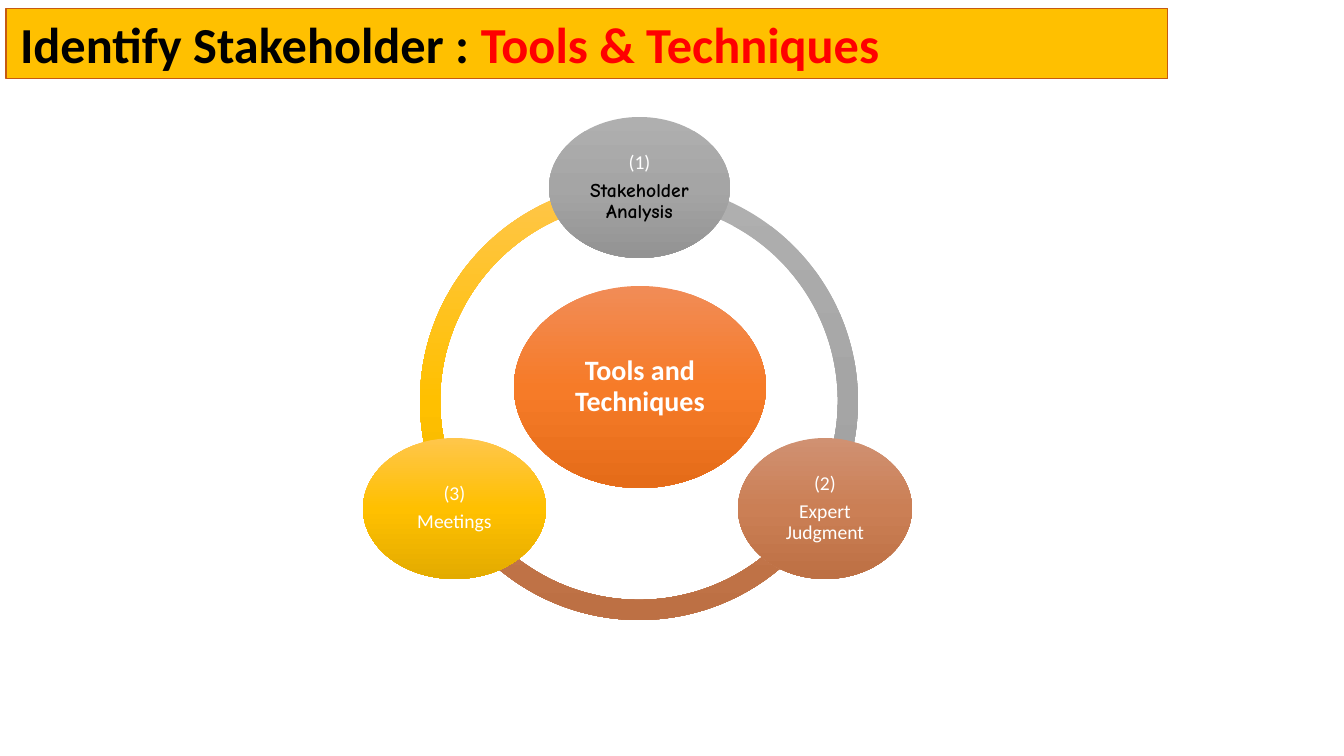
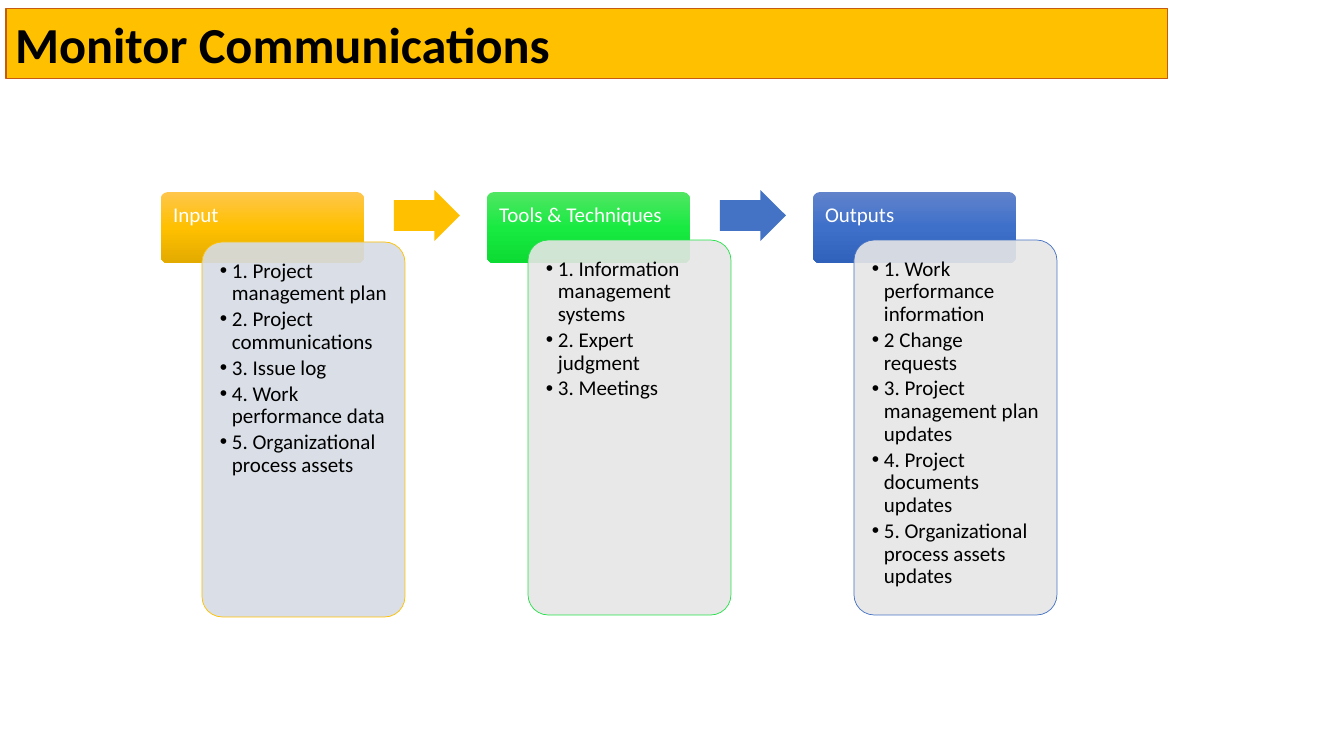
from copy import deepcopy
from dataclasses import dataclass

from lxml import etree
from pptx import Presentation
from pptx import util as u
from pptx.dml.color import RGBColor
from pptx.enum import shapes, text
from pptx.oxml.ns import qn
from pptx.shapes.autoshape import Shape
from pptx.slide import Slide
from pptx.text.text import TextFrame

EMU_PER_PX = 914400 / 100.8
SLIDE_WIDTH, SLIDE_HEIGHT = 1344, 756
TITLE_ONLY, COMPARISON = 5, 4

BLACK = RGBColor(0x00, 0x00, 0x00)
WHITE = RGBColor(0xFF, 0xFF, 0xFF)
RED = RGBColor(0xFF, 0x00, 0x00)
GOLD = RGBColor(0xFF, 0xC0, 0x00)
RUST = RGBColor(0xC5, 0x5A, 0x11)
GREEN = RGBColor(0x23, 0xE1, 0x48)
BLUE = RGBColor(0x44, 0x72, 0xC4)
PALE_BLUE = RGBColor(0xD6, 0xDC, 0xE5)
PALE_GRAY = RGBColor(0xE7, 0xE6, 0xE6)

Gradient = tuple[RGBColor, RGBColor, RGBColor]
GOLD_SHADES: Gradient = (RGBColor(0xFF, 0xC6, 0x4B), GOLD, RGBColor(0xE3, 0xAB, 0x00))
GRAY_SHADES: Gradient = (RGBColor(0xAF, 0xAF, 0xAF), RGBColor(0xA5, 0xA5, 0xA5), RGBColor(0x93, 0x93, 0x93))
BROWN_SHADES: Gradient = (RGBColor(0xD0, 0x91, 0x72), RGBColor(0xCB, 0x7F, 0x55), RGBColor(0xBD, 0x70, 0x44))
ORANGE_SHADES: Gradient = (RGBColor(0xF1, 0x8C, 0x57), RGBColor(0xF6, 0x7B, 0x28), RGBColor(0xE5, 0x6C, 0x19))
GREEN_SHADES: Gradient = (RGBColor(0x51, 0xE6, 0x63), RGBColor(0x19, 0xEA, 0x42), RGBColor(0x0C, 0xDB, 0x34))
BLUE_SHADES: Gradient = (RGBColor(0x61, 0x83, 0xCB), RGBColor(0x3E, 0x70, 0xCA), RGBColor(0x30, 0x62, 0xBB))


@dataclass(frozen=True)
class Box:
    left: int
    top: int
    width: int
    height: int


@dataclass(frozen=True)
class Style:
    size: int
    color: RGBColor = WHITE
    bold: bool = False
    name: str = "Calibri"


@dataclass(frozen=True)
class Line:
    words: str
    style: Style


@dataclass(frozen=True)
class Node:
    box: Box
    shades: Gradient
    lines: tuple[Line, ...]


@dataclass(frozen=True)
class Stage:
    heading: str
    shades: Gradient
    accent: RGBColor
    panel_fill: RGBColor
    panel_top: int
    items: tuple[str, ...]


TITLE_BOX = Box(6, 8, 1162, 71)
RING_BOX = Box(420, 182, 438, 438)
RING_THICKNESS = 0.046
RING_ARCS = ((150, 270, GOLD_SHADES), (30, 150, BROWN_SHADES), (270, 30, GRAY_SHADES))

NODE_STYLE = Style(14)
HEADING_STYLE = Style(15)
ITEM_STYLE = Style(15, BLACK)
NODES = (
    Node(Box(514, 286, 252, 202), ORANGE_SHADES,
         (Line("Tools and Techniques", Style(20, bold=True)),)),
    Node(Box(549, 117, 181, 141), GRAY_SHADES,
         (Line("(1)", NODE_STYLE),
          Line("Stakeholder Analysis", Style(14, BLACK, True, "Comic Neue")))),
    Node(Box(738, 438, 174, 141), BROWN_SHADES,
         (Line("(2)", NODE_STYLE), Line("Expert Judgment", NODE_STYLE))),
    Node(Box(363, 438, 183, 141), GOLD_SHADES,
         (Line("(3)", NODE_STYLE), Line("Meetings", NODE_STYLE))),
)

STAGE_LEFT, STAGE_PITCH, STAGE_WIDTH = 161, 326, 203
STAGES = (
    Stage("Input", GOLD_SHADES, GOLD, PALE_BLUE, 242,
          ("1. Project management plan", "2. Project communications", "3. Issue log",
           "4. Work performance data", "5. Organizational process assets")),
    Stage("Tools & Techniques", GREEN_SHADES, GREEN, PALE_GRAY, 240,
          ("1. Information management systems", "2. Expert judgment", "3. Meetings")),
    Stage("Outputs", BLUE_SHADES, BLUE, PALE_GRAY, 240,
          ("1. Work performance information", "2 Change requests",
           "3. Project management plan updates", "4. Project documents updates",
           "5. Organizational process assets updates")),
)
ARROW_COLORS = (GOLD, BLUE)


def px(length: int) -> u.Emu:
    return u.Emu(round(length * EMU_PER_PX))


def place(shape: Shape, box: Box) -> None:
    shape.left, shape.top = px(box.left), px(box.top)
    shape.width, shape.height = px(box.width), px(box.height)


def add_shape(slide: Slide, kind: shapes.MSO_SHAPE, box: Box,
              adjustments: tuple[float, ...] = ()) -> Shape:
    shape = slide.shapes.add_shape(
        kind, px(box.left), px(box.top), px(box.width), px(box.height))
    shape.shadow.inherit = False
    shape.line.fill.background()
    for index, value in enumerate(adjustments):
        shape.adjustments[index] = value
    return shape


def fill_solid(shape: Shape, color: RGBColor) -> None:
    shape.fill.solid()
    shape.fill.fore_color.rgb = color


def outline(shape: Shape, color: RGBColor, width: float) -> None:
    shape.line.color.rgb = color
    shape.line.width = u.Pt(width)


def fill_gradient(shape: Shape, shades: Gradient) -> None:
    shape.fill.gradient()
    shape.fill.gradient_angle = 270
    stop_list = shape.element.spPr.find(f".//{qn('a:gsLst')}")
    stop_list.append(deepcopy(stop_list[-1]))
    for stop, shade, position in zip(shape.fill.gradient_stops, shades, (0, 0.5, 1)):
        stop.color.rgb = shade
        stop.position = position


def set_opacity(shape: Shape, percent: int) -> None:
    color = shape.element.spPr.find(f"{qn('a:solidFill')}/{qn('a:srgbClr')}")
    etree.SubElement(color, qn("a:alpha"), val=str(percent * 1000))


def prepare_frame(frame: TextFrame, anchor: text.MSO_ANCHOR,
                  side: int, top: int, bottom: int) -> None:
    frame.word_wrap = True
    frame.auto_size = text.MSO_AUTO_SIZE.NONE
    frame.vertical_anchor = anchor
    frame.margin_left = frame.margin_right = px(side)
    frame.margin_top, frame.margin_bottom = px(top), px(bottom)


def write_lines(frame: TextFrame, lines: tuple[Line, ...], alignment: text.PP_ALIGN,
                gap: float, bulleted: bool = False) -> None:
    for index, line in enumerate(lines):
        paragraph = frame.add_paragraph() if index else frame.paragraphs[0]
        paragraph.text = line.words
        if bulleted:
            properties = paragraph._p.get_or_add_pPr()
            properties.set("marL", str(px(12)))
            properties.set("indent", str(px(-12)))
            etree.SubElement(properties, qn("a:buFont"), typeface="Arial")
            etree.SubElement(properties, qn("a:buChar"), char="•")
        paragraph.alignment = alignment
        paragraph.line_spacing = 0.9
        paragraph.space_before = u.Pt(gap if index else 0)
        paragraph.font.name = line.style.name
        paragraph.font.size = u.Pt(line.style.size)
        paragraph.font.bold = line.style.bold
        paragraph.font.color.rgb = line.style.color


def add_title(slide: Slide, parts: tuple[tuple[str, RGBColor], ...], inset: int) -> None:
    title = slide.shapes.title
    place(title, TITLE_BOX)
    fill_solid(title, GOLD)
    outline(title, RUST, 0.75)
    prepare_frame(title.text_frame, text.MSO_ANCHOR.MIDDLE, inset, 5, 5)
    paragraph = title.text_frame.paragraphs[0]
    paragraph.alignment = text.PP_ALIGN.LEFT
    paragraph.font.name = "Calibri"
    paragraph.font.size = u.Pt(36)
    paragraph.font.bold = True
    for words, color in parts:
        run = paragraph.add_run()
        run.text = words
        run.font.color.rgb = color


def add_node(slide: Slide, node: Node) -> None:
    ellipse = add_shape(slide, shapes.MSO_SHAPE.OVAL, node.box)
    fill_gradient(ellipse, node.shades)
    prepare_frame(ellipse.text_frame, text.MSO_ANCHOR.MIDDLE, 2, 2, 2)
    write_lines(ellipse.text_frame, node.lines, text.PP_ALIGN.CENTER, 5)


def add_stage(slide: Slide, stage: Stage, left: int, item_list: Shape) -> None:
    rounded = shapes.MSO_SHAPE.ROUNDED_RECTANGLE
    header = add_shape(slide, rounded, Box(left, 192, STAGE_WIDTH, 71), (0.1,))
    fill_gradient(header, stage.shades)
    prepare_frame(header.text_frame, text.MSO_ANCHOR.TOP, 10, 10, 6)
    write_lines(header.text_frame, (Line(stage.heading, HEADING_STYLE),),
                text.PP_ALIGN.LEFT, 0)

    panel_box = Box(left + 41, stage.panel_top, STAGE_WIDTH, 375)
    panel = add_shape(slide, rounded, panel_box, (0.1,))
    fill_solid(panel, stage.panel_fill)
    set_opacity(panel, 90)
    outline(panel, stage.accent, 0.5)

    place(item_list, Box(panel_box.left + 6, panel_box.top + 6,
                         panel_box.width - 12, panel_box.height - 12))
    slide.shapes.element.append(item_list.element)
    prepare_frame(item_list.text_frame, text.MSO_ANCHOR.TOP, 12, 12, 12)
    write_lines(item_list.text_frame, tuple(Line(item, ITEM_STYLE) for item in stage.items),
                text.PP_ALIGN.LEFT, 2.25, bulleted=True)


def build_stakeholder_slide(slide: Slide) -> None:
    add_title(slide, (("Identify Stakeholder : ", BLACK), ("Tools & Techniques", RED)), 14)
    for start, end, shades in RING_ARCS:
        arc = add_shape(slide, shapes.MSO_SHAPE.BLOCK_ARC, RING_BOX,
                        (start * 0.6, end * 0.6, RING_THICKNESS))
        fill_gradient(arc, shades)
    for node in NODES:
        add_node(slide, node)


def build_communications_slide(slide: Slide) -> None:
    add_title(slide, (("Monitor Communications", BLACK),), 9)
    item_lists = list(slide.placeholders)[1:]
    for spare in item_lists[len(STAGES):]:
        slide.shapes.element.remove(spare.element)
    for index, (stage, item_list) in enumerate(zip(STAGES, item_lists)):
        add_stage(slide, stage, STAGE_LEFT + index * STAGE_PITCH, item_list)
    for index, color in enumerate(ARROW_COLORS):
        arrow = add_shape(slide, shapes.MSO_SHAPE.RIGHT_ARROW,
                          Box(394 + index * STAGE_PITCH, 190, 66, 51), (0.6, 0.5))
        fill_solid(arrow, color)


def main() -> None:
    presentation = Presentation()
    presentation.slide_width = px(SLIDE_WIDTH)
    presentation.slide_height = px(SLIDE_HEIGHT)
    layouts = presentation.slide_layouts
    build_stakeholder_slide(presentation.slides.add_slide(layouts[TITLE_ONLY]))
    build_communications_slide(presentation.slides.add_slide(layouts[COMPARISON]))
    presentation.save("out.pptx")


if __name__ == "__main__":
    main()
